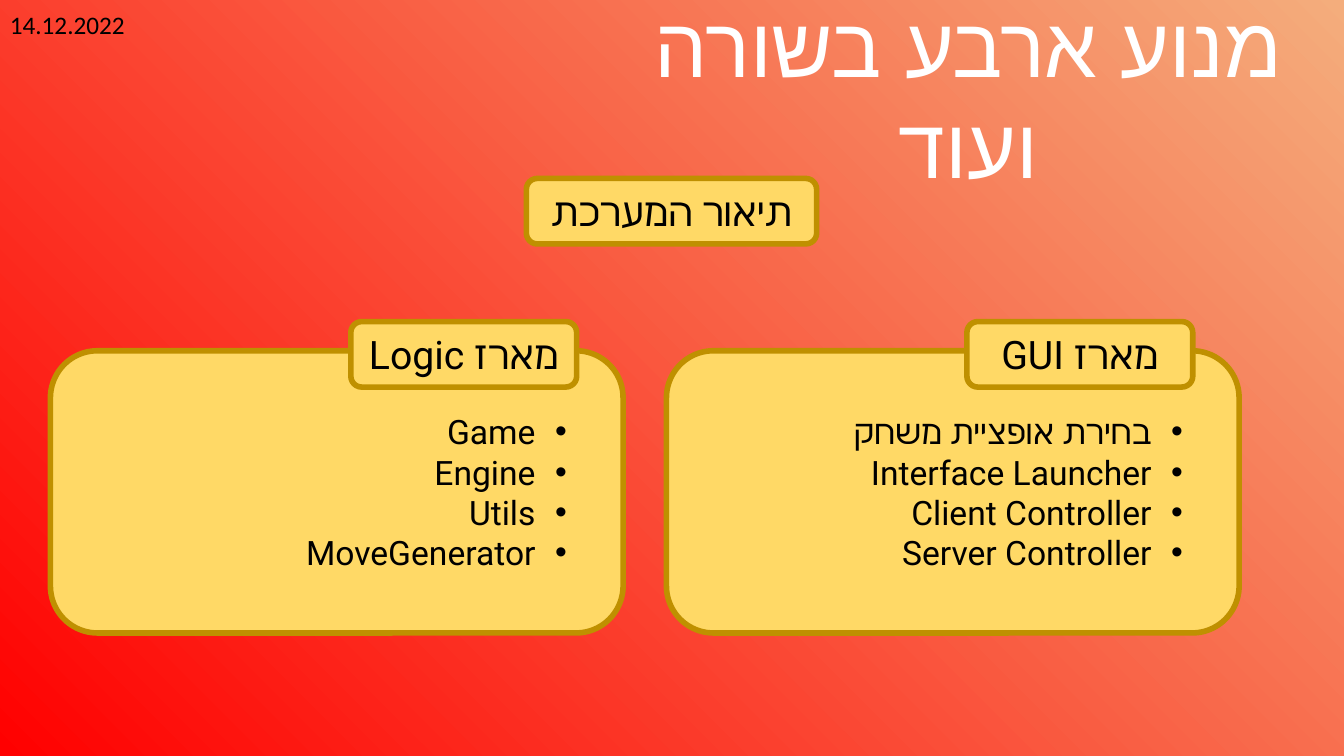
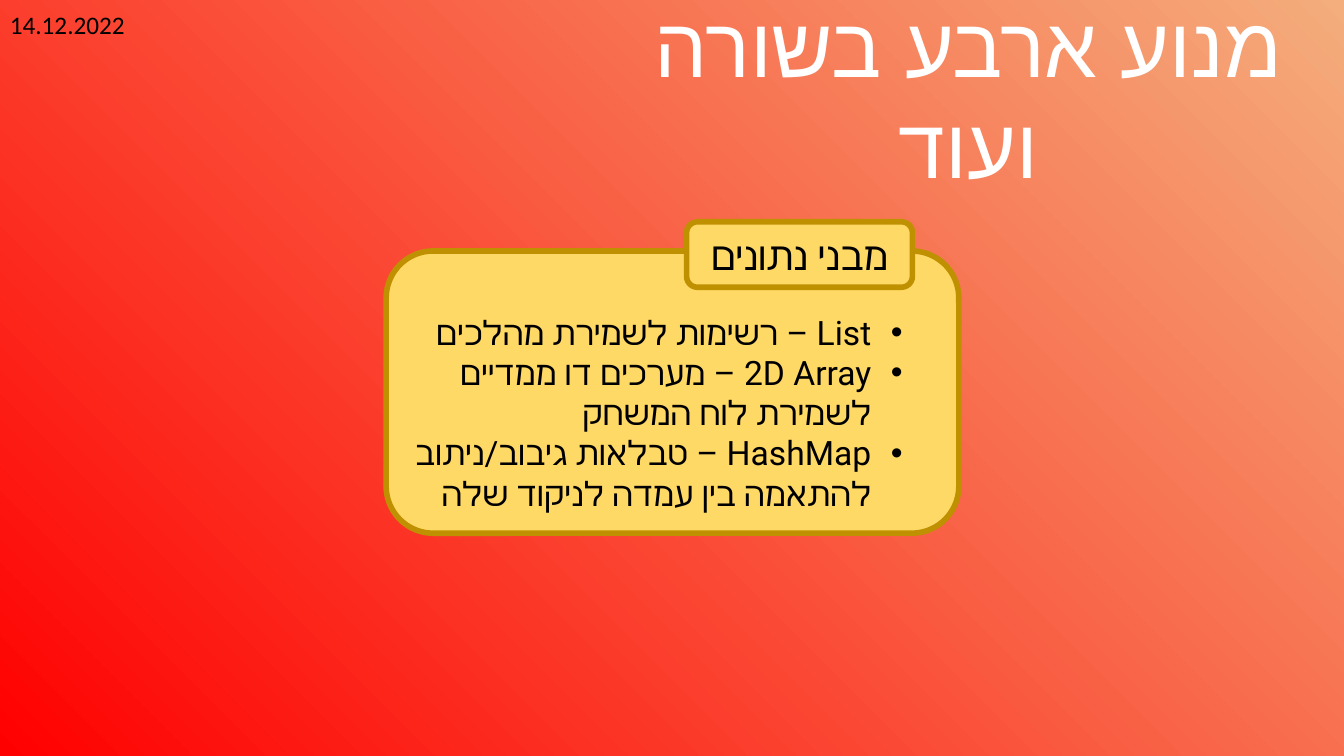
from dataclasses import dataclass

from lxml import etree
from pptx import Presentation
from pptx.dml.color import RGBColor
from pptx.enum.shapes import MSO_SHAPE
from pptx.enum.text import MSO_ANCHOR, MSO_AUTO_SIZE, PP_ALIGN
from pptx.oxml.ns import qn
from pptx.util import Inches, Pt

ROUNDED = MSO_SHAPE.ROUNDED_RECTANGLE
MIDDLE = MSO_ANCHOR.MIDDLE
GROW = MSO_AUTO_SIZE.SHAPE_TO_FIT_TEXT
LEFT, CENTER, RIGHT = PP_ALIGN.LEFT, PP_ALIGN.CENTER, PP_ALIGN.RIGHT


@dataclass(frozen=True)
class TextStyle:
    font: str
    size: int
    color: str
    align: PP_ALIGN
    rtl: bool = True
    bulleted: bool = False


@dataclass(frozen=True)
class Theme:
    gradient: tuple = ("FF0000", "F4AD7C")
    gradient_angle: int = 45
    box_fill: str = "FFD966"
    box_line: str = "BF9000"
    box_line_width: int = 4
    bullet_indent: float = 0.31
    date: TextStyle = TextStyle("Calibri", 18, "000000", LEFT, rtl=False)
    title: TextStyle = TextStyle("Arial", 60, "FFFFFF", CENTER)
    caption: TextStyle = TextStyle("Roboto", 28, "000000", CENTER)
    items: TextStyle = TextStyle("Roboto", 24, "000000", RIGHT, bulleted=True)


THEME = Theme()
SLIDE_WIDTH, SLIDE_HEIGHT = 13.33, 7.5
PANEL_WIDTH, PANEL_HEIGHT = 5.68, 2.8
TAB_WIDTH, TAB_HEIGHT, TAB_RISE = 2.24, 0.65, 0.29
PANEL_INSET = 0.46  # from the panel's right edge to its tab and list
LIST_DROP = 0.55

DATE = "14.12.2022"
TITLE = "מנוע ארבע בשורה ועוד"


def rgb(color):
    return RGBColor.from_string(color)


def add_bullet(properties):
    indent = Inches(THEME.bullet_indent)
    properties.set("marL", str(indent))
    properties.set("indent", str(-indent))
    bullet_font = etree.Element(qn("a:buFont"), typeface="Arial")
    bullet = etree.Element(qn("a:buChar"), char="•")
    properties.insert(0, bullet_font)
    properties.insert(1, bullet)


def write(frame, lines, style):
    """Fill a text frame with one styled paragraph per line."""
    frame.word_wrap = True
    frame.text = "\n".join(lines)
    for paragraph in frame.paragraphs:
        paragraph.alignment = style.align
        font = paragraph.font
        font.name, font.size = style.font, Pt(style.size)
        font.color.rgb = rgb(style.color)
        properties = paragraph._p.get_or_add_pPr()
        # Hebrew letters take the complex-script typeface
        etree.SubElement(properties.find(qn("a:defRPr")), qn("a:cs"),
                         typeface=style.font)
        if style.rtl:
            properties.set("rtl", "1")
        if style.bulleted:
            add_bullet(properties)


def add_text(shapes, box, lines, style):
    frame = shapes.add_textbox(*map(Inches, box)).text_frame
    write(frame, lines, style)
    frame.auto_size = GROW


def add_box(shapes, box, caption=None):
    """Add a gold rounded box, with a centred caption if one is given."""
    shape = shapes.add_shape(ROUNDED, *map(Inches, box))
    shape.shadow.inherit = False
    shape.fill.solid()
    shape.fill.fore_color.rgb = rgb(THEME.box_fill)
    shape.line.color.rgb = rgb(THEME.box_line)
    shape.line.width = Pt(THEME.box_line_width)
    if caption:
        shape.text_frame.vertical_anchor = MIDDLE
        write(shape.text_frame, [caption], THEME.caption)


def add_panel(slide, left, top, caption, items, list_width, list_height):
    """Group a panel with the tab on its top edge and its bulleted list."""
    shapes = slide.shapes.add_group_shape().shapes
    inner_right = left + PANEL_WIDTH - PANEL_INSET
    add_box(shapes, (left, top, PANEL_WIDTH, PANEL_HEIGHT))
    add_box(shapes, (inner_right - TAB_WIDTH, top - TAB_RISE,
                     TAB_WIDTH, TAB_HEIGHT), caption)
    add_text(shapes, (inner_right - list_width, top + LIST_DROP,
                      list_width, list_height), items, THEME.items)


def add_base_slide(presentation):
    """Add a slide with the shared background, date and title."""
    slide = presentation.slides.add_slide(presentation.slide_layouts[6])
    fill = slide.background.fill
    fill.gradient()
    fill.gradient_angle = THEME.gradient_angle
    for position, (stop, color) in enumerate(zip(fill.gradient_stops,
                                                 THEME.gradient)):
        stop.position = position
        stop.color.rgb = rgb(color)
    add_text(slide.shapes, (0, 0.04, 2.47, 0.4), [DATE], THEME.date)
    add_text(slide.shapes, (5.87, -0.11, 7.47, 1.11), [TITLE], THEME.title)
    return slide


def add_system_slide(presentation):
    slide = add_base_slide(presentation)
    add_box(slide.shapes, (5.22, 1.77, 2.88, 0.65), "תיאור המערכת")
    packages = (
        (6.61, "מארז GUI", ["בחירת אופציית משחק", "Interface Launcher",
                            "Client Controller", "Server Controller"]),
        (0.5, "מארז Logic", ["Game", "Engine", "Utils", "MoveGenerator"]),
    )
    for left, caption, items in packages:
        add_panel(slide, left, 3.48, caption, items, 4.84, 1.72)


def add_data_structures_slide(presentation):
    slide = add_base_slide(presentation)
    structures = [
        "List – רשימות לשמירת מהלכים",
        "2D Array – מערכים דו ממדיים לשמירת לוח המשחק",
        "HashMap – טבלאות גיבוב/ניתוב להתאמה בין עמדה לניקוד שלה",
    ]
    add_panel(slide, 3.83, 2.49, "מבני נתונים", structures, 5.05, 2.12)


def main():
    presentation = Presentation()
    presentation.slide_width = Inches(SLIDE_WIDTH)
    presentation.slide_height = Inches(SLIDE_HEIGHT)
    add_system_slide(presentation)
    add_data_structures_slide(presentation)
    presentation.save("out.pptx")


if __name__ == "__main__":
    main()
